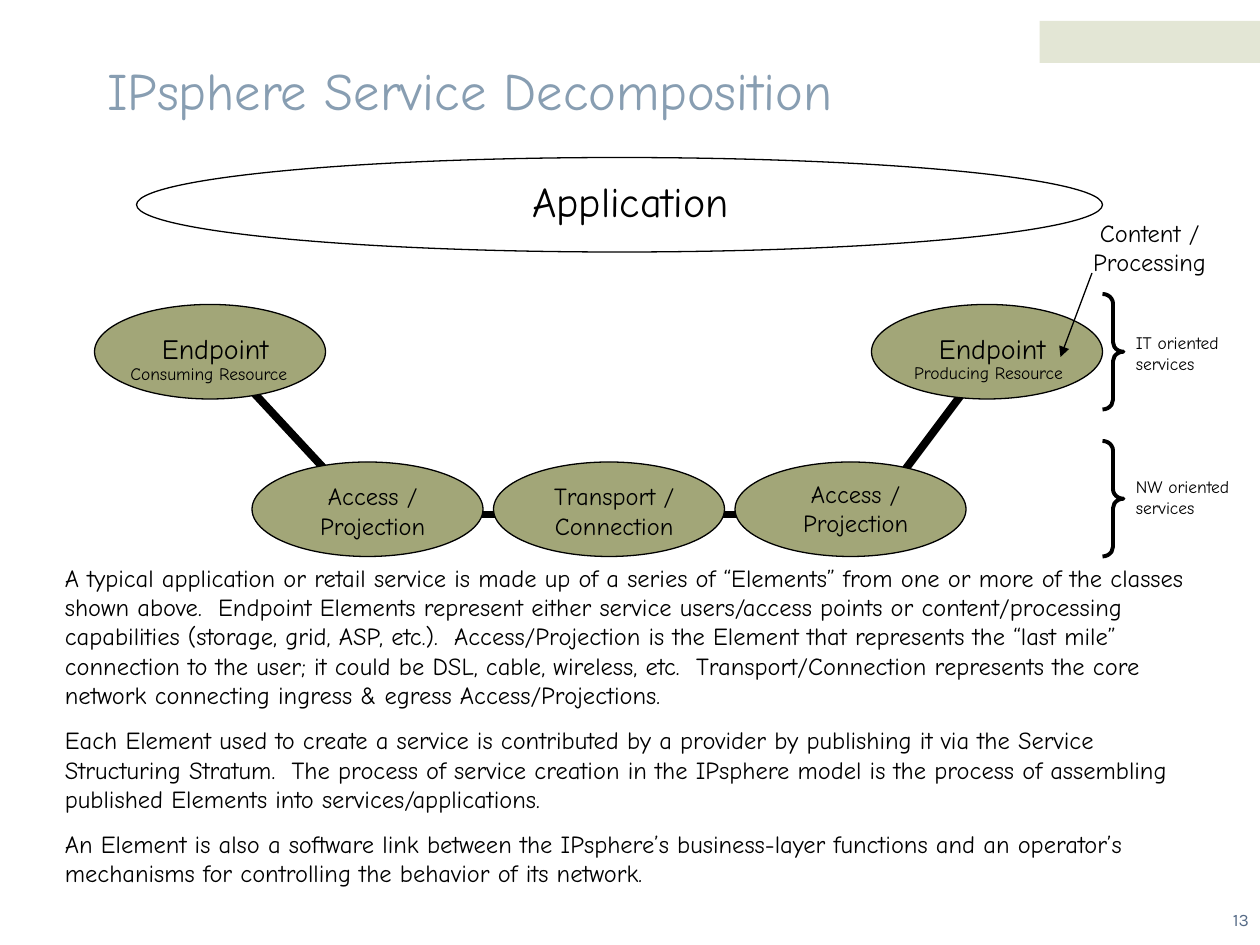
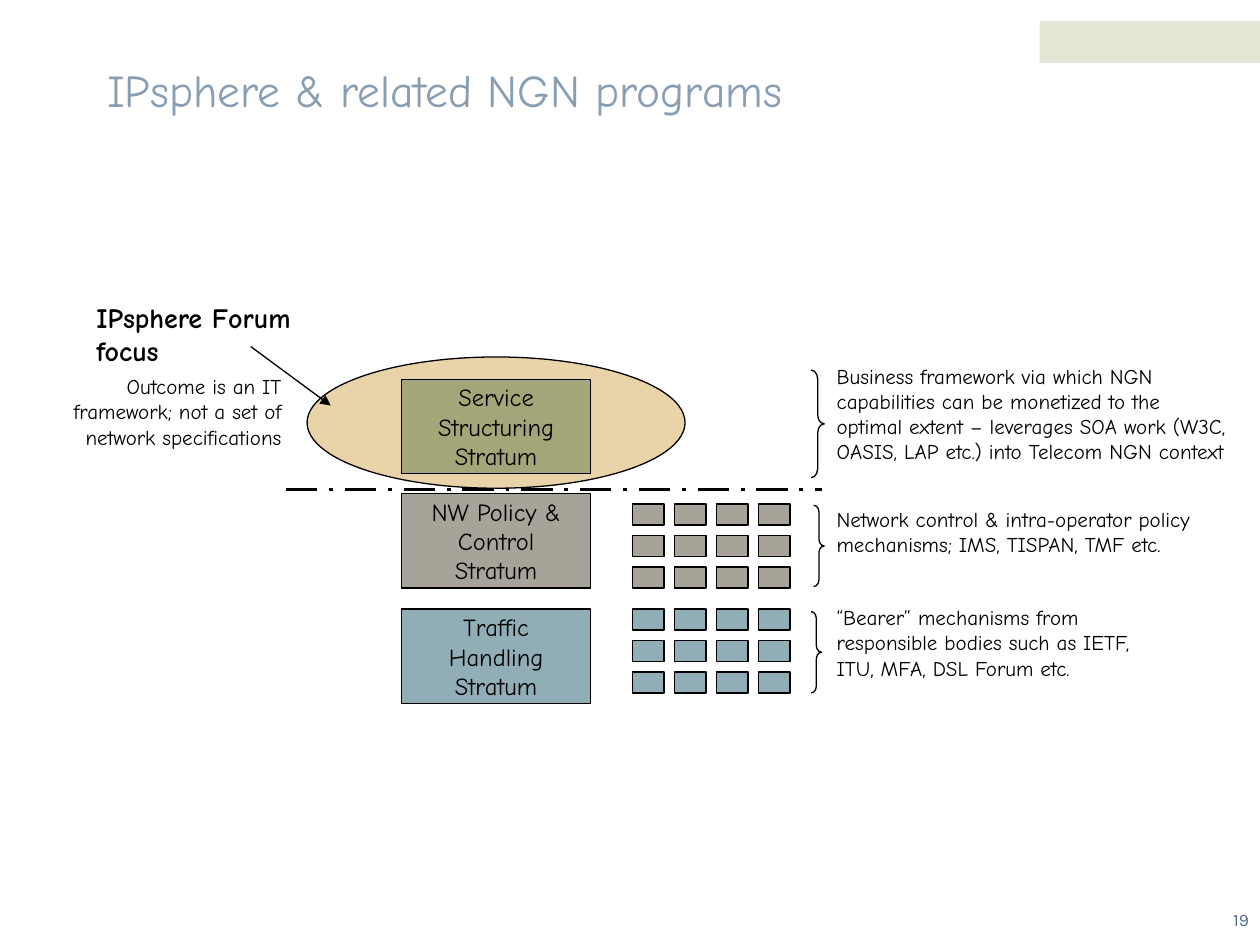
import pptx
import pptx.util
import pptx.dml.color
import pptx.enum.dml
import pptx.enum.shapes
import pptx.enum.text
import pptx.oxml.ns
from lxml import etree

PX = 9525  # 96 px to the inch
BLACK, OLIVE, STONE, TEAL = "000000", "A2A678", "A8A398", "91AEB7"
FONT = "Comic Neue"
rgb = pptx.dml.color.RGBColor.from_string
qn = pptx.oxml.ns.qn
Pt = pptx.util.Pt
MSO = pptx.enum.shapes.MSO_SHAPE
STRAIGHT = pptx.enum.shapes.MSO_CONNECTOR.STRAIGHT
ALIGN = pptx.enum.text.PP_ALIGN
ANCHOR = pptx.enum.text.MSO_ANCHOR


def style(sh, fill=None, width=None, dash=None, arrow=False):
    """Fill and outline a shape or connector, without a shadow."""
    if fill:
        sh.fill.solid()
        sh.fill.fore_color.rgb = rgb(fill)
    if width:
        sh.line.color.rgb = rgb(BLACK)
        sh.line.width = Pt(width)
    else:
        sh.line.fill.background()
    if dash:
        sh.line.dash_style = dash
    if arrow:
        etree.SubElement(sh.line._get_or_add_ln(), qn("a:tailEnd"), type="triangle")
    etree.SubElement(sh._element.spPr, qn("a:effectLst"))


def write(sh, lines, size, align=ALIGN.LEFT, color=BLACK, font=FONT,
          bold=False, wrap=True, anchor=ANCHOR.TOP, gap=0):
    """Put one paragraph per line into a shape."""
    tf = sh.text_frame
    tf.auto_size = pptx.enum.text.MSO_AUTO_SIZE.NONE
    tf.word_wrap = wrap
    tf.vertical_anchor = anchor
    for i, line in enumerate(lines):
        p = tf.paragraphs[0] if i == 0 else tf.add_paragraph()
        p.alignment = align
        if i:
            p.space_before = Pt(gap)
        r = p.add_run()
        r.text = line
        r.font.size = Pt(size)
        r.font.name = font
        r.font.bold = bold
        r.font.color.rgb = rgb(color)


prs = pptx.Presentation()
prs.slide_width = 960 * PX
prs.slide_height = 720 * PX

# Shared frame: title, corner band, slide number
slides = []
for title, size, number in [
    ("IPsphere Service Decomposition", 30, "13"),
    ("IPsphere & related NGN programs", 26, "19"),
]:
    s = prs.slides.add_slide(prs.slide_layouts[5])
    t = s.shapes.title
    t.left, t.top, t.width, t.height = 72 * PX, 32 * PX, 624 * PX, 72 * PX
    write(t, [title], size, color="889EB2", anchor=ANCHOR.MIDDLE)
    band = s.shapes.add_shape(MSO.RECTANGLE, 792 * PX, 16 * PX, 168 * PX, 32 * PX)
    style(band, "E3E6D5")
    num = s.shapes.add_textbox(833 * PX, 688 * PX, 128 * PX, 26 * PX)
    write(num, [number], 10, ALIGN.RIGHT, "566B87", "Karla")
    slides.append(s)
decomposition, programs = slides

# Slide 1: links behind the elements
s = decomposition
for x1, y1, x2, y2 in [
    (168, 272, 272, 384),
    (296, 392, 456, 392),
    (480, 392, 648, 392),
    (664, 392, 760, 264),
]:
    link = s.shapes.add_connector(STRAIGHT, x1 * PX, y1 * PX, x2 * PX, y2 * PX)
    style(link, width=4.5)

# Slide 1: application
app = s.shapes.add_shape(MSO.OVAL, 104 * PX, 120 * PX, 736 * PX, 72 * PX)
style(app, "FFFFFF", 0.75)
sp = s.shapes.add_textbox(396 * PX, 129 * PX, 169 * PX, 48 * PX)
write(sp, ["Application"], 24, wrap=False)

# Slide 1: network elements
for x, label, label_x, label_y, label_w in [
    (192, "Access / Projection", 224, 362, 120),
    (376, "Transport / Connection", 400, 362, 136),
    (560, "Access / Projection", 592, 360, 120),
]:
    element = s.shapes.add_shape(MSO.OVAL, x * PX, 352 * PX, 176 * PX, 72 * PX)
    style(element, OLIVE, 0.75)
    sp = s.shapes.add_textbox(label_x * PX, label_y * PX, label_w * PX, 55 * PX)
    write(sp, [label], 14, ALIGN.CENTER)

# Slide 1: endpoints
for x, role, role_x, role_y, role_w in [
    (664, "Producing Resource", 687, 271, 133),
    (72, "Consuming Resource", 90, 272, 139),
]:
    endpoint = s.shapes.add_group_shape()
    oval = endpoint.shapes.add_shape(MSO.OVAL, x * PX, 232 * PX, 176 * PX, 72 * PX)
    style(oval, OLIVE, 0.75)
    name = endpoint.shapes.add_shape(
        MSO.RECTANGLE, (x + 24) * PX, 248 * PX, 136 * PX, 36 * PX)
    style(name, OLIVE)
    write(name, ["Endpoint"], 16, ALIGN.CENTER)
    sp = s.shapes.add_textbox(role_x * PX, role_y * PX, role_w * PX, 26 * PX)
    write(sp, [role], 10, wrap=False)

# Slide 1: explanation
sp = s.shapes.add_textbox(40 * PX, 424 * PX, 896 * PX, 257 * PX)
write(sp, [
    "A typical application or retail service is made up of a series of “Elements” "
    "from one or more of the classes shown above.  Endpoint Elements represent "
    "either service users/access points or content/processing capabilities "
    "(storage, grid, ASP, etc.).  Access/Projection is the Element that represents "
    "the “last mile” connection to the user; it could be DSL, cable, wireless, etc.  "
    "Transport/Connection represents the core network connecting ingress & egress "
    "Access/Projections.",
    "Each Element used to create a service is contributed by a provider by "
    "publishing it via the Service Structuring Stratum.  The process of service "
    "creation in the IPsphere model is the process of assembling published Elements "
    "into services/applications.",
    "An Element is also a software link between the IPsphere’s business-layer "
    "functions and an operator’s mechanisms for controlling the behavior of its "
    "network.",
], 14, gap=8.8)

# Slide 2: focus area
s = programs
focus = s.shapes.add_shape(MSO.OVAL, 234 * PX, 272 * PX, 288 * PX, 100 * PX)
style(focus, "D4A952", 0.75)
color = focus._element.spPr.find(qn("a:solidFill"))[0]
etree.SubElement(color, qn("a:alpha"), val="50000")

# Slide 2: strata
for y, fill, lines in [
    (464, TEAL, ["Traffic", "Handling", "Stratum"]),
    (376, STONE, ["NW Policy &", "Control", "Stratum"]),
    (289, OLIVE, ["Service", "Structuring", "Stratum"]),
]:
    stratum = s.shapes.add_shape(MSO.RECTANGLE, 306 * PX, y * PX, 144 * PX, 72 * PX)
    style(stratum, fill, 0.75)
    sp = s.shapes.add_textbox(322 * PX, (y + 20) * PX, 112 * PX, 32 * PX)
    write(sp, lines, 14, ALIGN.CENTER, wrap=False, anchor=ANCHOR.MIDDLE)

# Slide 2: grids of network nodes
for top, fill in [(384, STONE), (464, TEAL)]:
    for row in range(3):
        for col in range(4):
            node = s.shapes.add_shape(
                MSO.RECTANGLE, (482 + 32 * col) * PX, (top + 24 * row) * PX,
                24 * PX, 16 * PX)
            style(node, fill, 0.75)

# Both slides: braces
for s, x, y, w, h, weight in [
    (decomposition, 840, 224, 16, 88, 2.25),
    (decomposition, 840, 336, 16, 88, 2.25),
    (programs, 618, 282, 10, 82, 0.75),
    (programs, 620, 385, 8, 62, 0.75),
    (programs, 618, 466, 8, 62, 0.75),
]:
    brace = s.shapes.add_shape(MSO.RIGHT_BRACE, x * PX, y * PX, w * PX, h * PX)
    brace.adjustments[0] = h / 12 / w
    brace.fill.background()
    style(brace, width=weight)

# Both slides: side notes
for s, x, y, w, h, note, size, align, bold in [
    (decomposition, 856, 248, 96, 42, "IT oriented services", 10, ALIGN.LEFT, False),
    (decomposition, 856, 358, 112, 42, "NW oriented services", 10, ALIGN.LEFT, False),
    (decomposition, 808, 161, 136, 55, "Content / Processing", 14, ALIGN.CENTER, False),
    (programs, 64, 224, 184, 61, "IPsphere Forum focus", 16, ALIGN.LEFT, True),
    (programs, 24, 280, 200, 67,
     "Outcome is an IT framework; not a set of network specifications",
     12, ALIGN.RIGHT, False),
    (programs, 628, 272, 316, 106,
     "Business framework via which NGN capabilities can be monetized to the optimal "
     "extent – leverages SOA work (W3C, OASIS, LAP etc.) into Telecom NGN context",
     12, ALIGN.LEFT, False),
    (programs, 628, 381, 292, 48,
     "Network control & intra-operator policy mechanisms; IMS, TISPAN, TMF etc.",
     12, ALIGN.LEFT, False),
    (programs, 628, 456, 260, 67,
     "“Bearer” mechanisms from responsible bodies such as IETF, ITU, MFA, "
     "DSL Forum etc.", 12, ALIGN.LEFT, False),
]:
    sp = s.shapes.add_textbox(x * PX, y * PX, w * PX, h * PX)
    write(sp, [note], size, align, bold=bold)

# Both slides: arrows and the dividing line, on top
DASH = pptx.enum.dml.MSO_LINE.LONG_DASH_DOT
for s, x1, y1, x2, y2, weight, dash, arrow in [
    (decomposition, 832, 208, 808, 272, 0.75, None, True),
    (programs, 191, 264, 252, 309, 0.75, None, True),
    (programs, 218, 373, 626, 373, 2.25, DASH, False),
]:
    line = s.shapes.add_connector(STRAIGHT, x1 * PX, y1 * PX, x2 * PX, y2 * PX)
    style(line, None, weight, dash, arrow)

prs.save("out.pptx")
